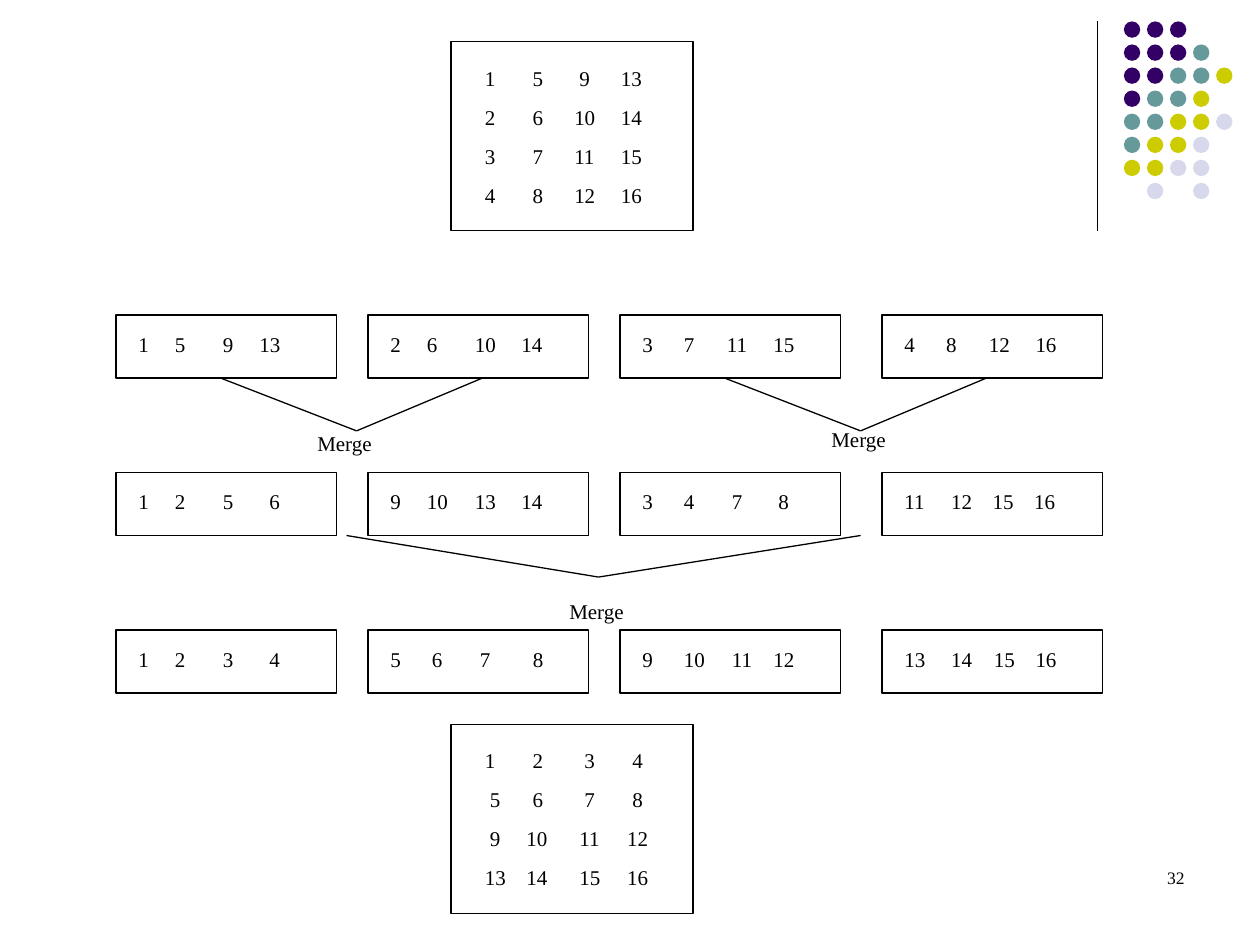
from pptx import Presentation
from pptx.dml.color import RGBColor
from pptx.enum.shapes import MSO_CONNECTOR, MSO_SHAPE
from pptx.enum.text import PP_ALIGN
from pptx.oxml.ns import qn
from pptx.util import Inches, Pt
from lxml import etree

STRAIGHT = MSO_CONNECTOR.STRAIGHT
RECTANGLE, OVAL = MSO_SHAPE.RECTANGLE, MSO_SHAPE.OVAL
RIGHT = PP_ALIGN.RIGHT
COLORS = {"ink": "000000", "P": "330066", "T": "669999",
          "Y": "CCCC00", "L": "D8D8EC"}
FONT = "Times New Roman"
LINE_WIDTH = Pt(0.74)

prs = Presentation()
prs.slide_width, prs.slide_height = Inches(10), Inches(7.5)
slide = prs.slides.add_slide(prs.slide_layouts[6])
shapes = slide.shapes
ink = RGBColor.from_string(COLORS["ink"])


def add_text(box, rows, size=12, wrap=True):
    label = shapes.add_textbox(*map(Inches, box))
    frame = label.text_frame
    frame.word_wrap = wrap
    for index, (text, stops) in enumerate(rows):
        line = frame.add_paragraph() if index else frame.paragraphs[0]
        line.text = text
        line.font.size, line.font.name = Pt(size), FONT
        line.font.color.rgb = ink
        if index:
            line.space_before = Pt(8)
        if stops:
            properties = line._p.get_or_add_pPr()
            tabs = etree.Element(qn("a:tabLst"))
            for stop in stops:
                etree.SubElement(tabs, qn("a:tab"), pos=str(Inches(stop)), algn="l")
            properties.find(qn("a:defRPr")).addprevious(tabs)
    return frame


def add_line(start, end):
    line = shapes.add_connector(STRAIGHT, *map(Inches, start + end))
    line.line.color.rgb = ink
    line.line.width = LINE_WIDTH
    etree.SubElement(line._element.spPr, qn("a:effectLst"))


add_line((8.71, 0.17), (8.71, 1.83))

dot_rows = ["PPP", "PPPT", "PPTTY", "PTTY", "TTYYL", "TYYL", "YYLL", " L L"]
for row, dots in enumerate(dot_rows):
    for column, tone in enumerate(dots):
        if tone == " ":
            continue
        dot = shapes.add_shape(OVAL, Inches(8.92 + column * 0.183),
                               Inches(0.17 + row * 0.183), Inches(0.13), Inches(0.13))
        dot.shadow.inherit = False
        dot.fill.solid()
        dot.fill.fore_color.rgb = RGBColor.from_string(COLORS[tone])
        dot.line.fill.background()

unsorted_matrix = [
    ("1\t5\t9\t13", (0.38, 0.75, 1.08)),
    ("2\t6\t10\t14", (0.38, 0.71, 1.08)),
    ("3\t7\t11\t15", (0.38, 0.71, 1.08)),
    ("4\t8\t12\t16", (0.38, 0.71, 1.08)),
]
sorted_matrix = [
    ("1\t2\t3\t4", (0.38, 0.79, 1.17)),
    ("\t5\t6\t7\t8", (0.04, 0.38, 0.79, 1.17)),
    ("\t9\t10\t11\t12", (0.04, 0.33, 0.75, 1.13)),
    ("13\t14\t15\t16", (0.0, 0.33, 0.75, 1.13)[1:]),
]
stages = [
    [("1\t5\t9\t13", (0.29, 0.67, 0.96)), ("2\t6\t10\t14", (0.29, 0.67, 1.04)),
     ("3\t7\t11\t15", (0.33, 0.67, 1.04)), ("4\t8\t12\t16", (0.33, 0.67, 1.04))],
    [("1\t2\t5\t6", (0.29, 0.67, 1.04)), ("9\t10\t13\t14", (0.29, 0.67, 1.04)),
     ("3\t4\t7\t8", (0.33, 0.71, 1.08)), ("11\t12\t15\t16", (0.37, 0.7, 1.03))],
    [("1\t2\t3\t4", (0.29, 0.67, 1.04)), ("5\t6\t7\t8", (0.33, 0.71, 1.13)),
     ("9\t10\t11\t12", (0.33, 0.71, 1.04)), ("13\t14\t15\t16", (0.37, 0.71, 1.04))],
]

panels = [
    ((3.58, 0.33, 1.92, 1.5), (3.75, 0.47, 1.67, 1.22), unsorted_matrix),
    ((3.58, 5.75, 1.92, 1.5), (3.75, 5.88, 1.67, 1.22), sorted_matrix),
]
for row, stage in enumerate(stages):
    top = 2.5 + row * 1.25
    for left, numbers in zip((0.92, 2.92, 4.92, 7), stage):
        panels.append(((left, top, 1.75, 0.5),
                       (left + 0.08, top + 0.08, 1.58, 0.3), [numbers]))

for frame_box, text_box, rows in panels:
    add_text(text_box, rows)
    panel = shapes.add_shape(RECTANGLE, *map(Inches, frame_box))
    panel.shadow.inherit = False
    panel.fill.background()
    panel.line.color.rgb = ink
    panel.line.width = LINE_WIDTH

merges = [
    ((1.75, 3), (3.83, 3), (2.83, 3.42), (2.42, 3.37)),
    ((5.75, 3), (7.83, 3), (6.83, 3.42), (6.5, 3.34)),
    ((2.75, 4.25), (6.83, 4.25), (4.75, 4.58), (4.42, 4.7)),
]
for first, second, junction, label_corner in merges:
    add_line(first, junction)
    add_line(second, junction)
    add_text(label_corner + (0.63, 0.3), [("Merge", ())], wrap=False)

page_number = add_text((7.17, 6.83, 2.33, 0.5), [("32", ())], size=10)
page_number.paragraphs[0].alignment = RIGHT

prs.save("out.pptx")
